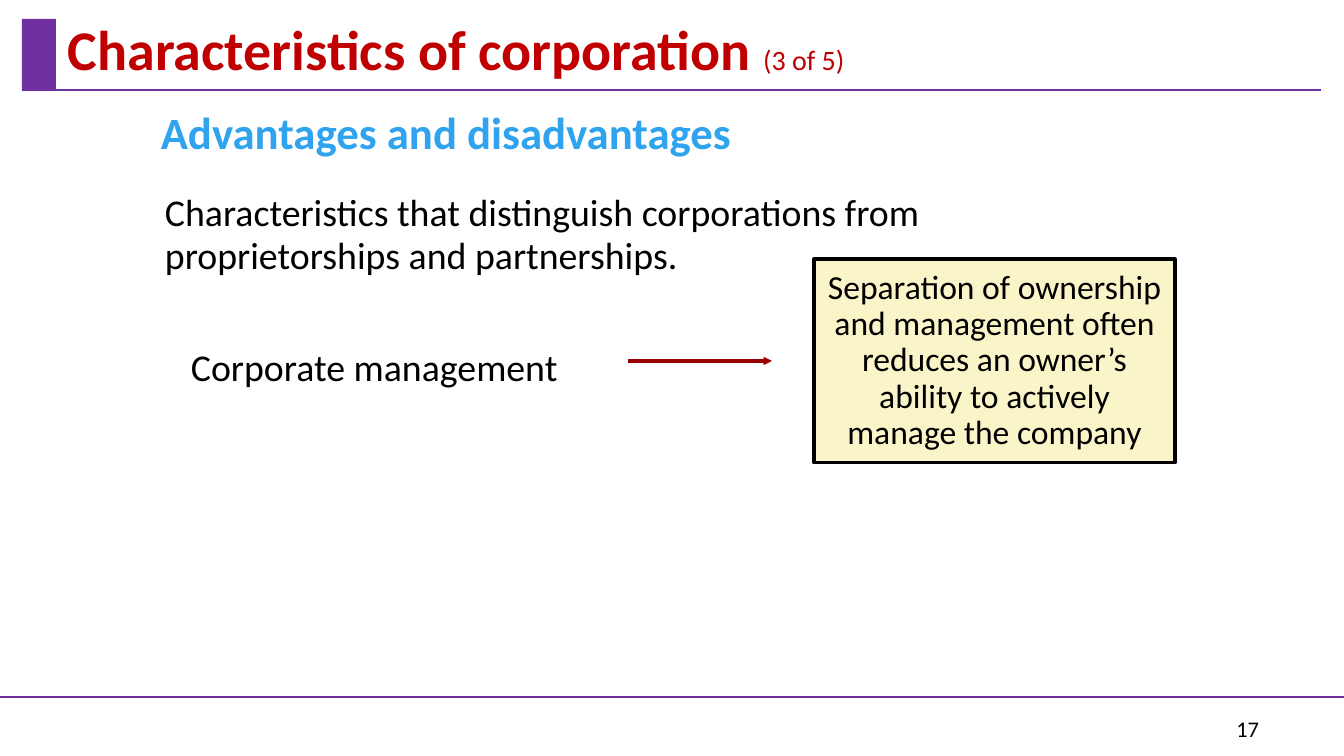
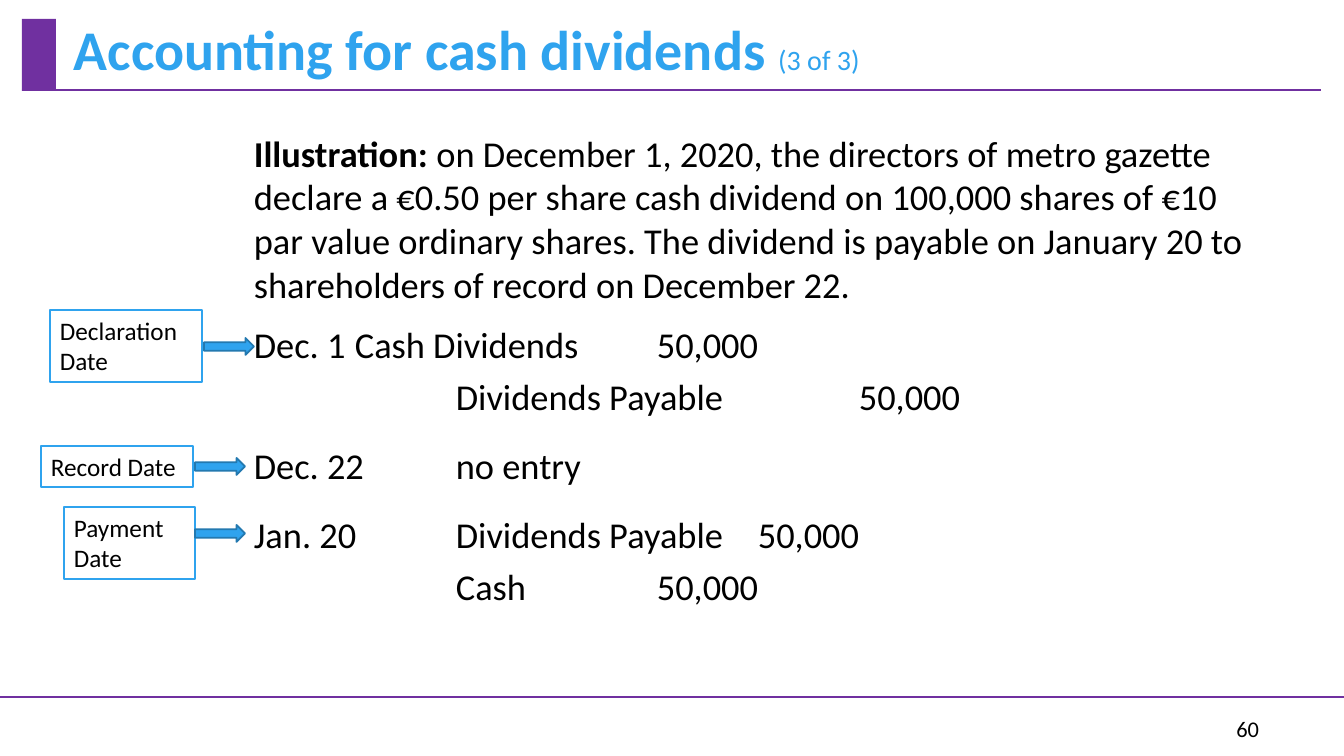
from lxml.etree import SubElement
from pptx import Presentation
from pptx.dml.color import RGBColor
from pptx.enum.shapes import MSO_CONNECTOR, MSO_SHAPE
from pptx.enum.text import MSO_ANCHOR, PP_ALIGN
from pptx.oxml.ns import qn
from pptx.util import Emu, Pt

EMU_PER_PX = 914400 / 100.8
WIDTH, HEIGHT = 1344, 756
FONT = "Calibri"
COLORS = {
    "band": "7030A0",
    "red": "C00000",
    "blue": "2FA3EE",
    "blue_edge": "2379B0",
    "arrow": "990000",
    "callout": "FAF5C9",
    "black": "000000",
    "white": "FFFFFF",
}


def px(value):
    return Emu(round(value * EMU_PER_PX))


def rgb(name):
    return RGBColor.from_string(COLORS[name])


def add_run(paragraph, text, size, color="black", bold=False):
    run = paragraph.add_run()
    run.text = text
    run.font.name = FONT
    run.font.size = Pt(size)
    run.font.bold = bold
    run.font.color.rgb = rgb(color)


def set_paragraph(paragraph, align=PP_ALIGN.LEFT, spacing=1.0, before=0):
    paragraph.alignment = align
    paragraph.line_spacing = spacing
    paragraph.space_before = Pt(before)


def set_tabs(paragraph, stops):
    tab_list = SubElement(paragraph._p.get_or_add_pPr(), qn("a:tabLst"))
    for stop in stops:
        SubElement(tab_list, qn("a:tab"), pos=str(px(stop)), algn="l")


def add_text_box(slide, left, top, width, height, anchor=MSO_ANCHOR.TOP):
    shape = slide.shapes.add_textbox(px(left), px(top), px(width), px(height))
    frame = shape.text_frame
    frame.word_wrap = True
    frame.vertical_anchor = anchor
    return frame


def add_box(slide, kind, bounds, fill, line=None, weight=1.25):
    shape = slide.shapes.add_shape(kind, *map(px, bounds))
    shape.shadow.inherit = False
    shape.fill.solid()
    shape.fill.fore_color.rgb = rgb(fill)
    if line:
        shape.line.color.rgb = rgb(line)
        shape.line.width = Pt(weight)
    else:
        shape.line.fill.background()
    return shape


def add_line(slide, left, right, y, color, weight, arrow=False):
    line = slide.shapes.add_connector(
        MSO_CONNECTOR.STRAIGHT, px(left), px(y), px(right), px(y))
    line.line.color.rgb = rgb(color)
    line.line.width = Pt(weight)
    properties = line._element.spPr
    if arrow:
        SubElement(properties.find(qn("a:ln")), qn("a:tailEnd"),
                   type="triangle", w="sm", len="sm")
    SubElement(properties, qn("a:effectLst"))


def add_slide(presentation, title, part, number, color, title_left):
    slide = presentation.slides.add_slide(presentation.slide_layouts[6])
    add_line(slide, 0, WIDTH, 697, "band", 1)
    add_line(slide, 22, 1321, 90, "band", 1.25)
    add_box(slide, MSO_SHAPE.RECTANGLE, (22, 19, 34, 72), "band")
    frame = add_text_box(slide, title_left, 16, 1004, 72, MSO_ANCHOR.MIDDLE)
    paragraph = frame.paragraphs[0]
    set_paragraph(paragraph, spacing=0.9)
    add_run(paragraph, title + " ", 40, color, bold=True)
    add_run(paragraph, part, 20, color)
    paragraph = add_text_box(slide, 1184, 709, 85, 40, MSO_ANCHOR.MIDDLE).paragraphs[0]
    set_paragraph(paragraph, PP_ALIGN.RIGHT)
    add_run(paragraph, str(number), 16)
    return slide


def add_callout(slide, bounds, text):
    shape = add_box(slide, MSO_SHAPE.RECTANGLE, bounds, "callout", "black", 2.25)
    frame = shape.text_frame
    frame.word_wrap = True
    frame.margin_top = frame.margin_bottom = px(10)
    frame.vertical_anchor = MSO_ANCHOR.MIDDLE
    set_paragraph(frame.paragraphs[0], PP_ALIGN.CENTER, 0.9)
    add_run(frame.paragraphs[0], text, 24)


def add_date_label(slide, text, bounds, arrow_left, arrow_top):
    label = add_box(slide, MSO_SHAPE.RECTANGLE, bounds, "white", "blue")
    frame = label.text_frame
    frame.word_wrap = True
    frame.vertical_anchor = MSO_ANCHOR.TOP
    set_paragraph(frame.paragraphs[0])
    add_run(frame.paragraphs[0], text, 18)
    add_box(slide, MSO_SHAPE.RIGHT_ARROW, (arrow_left, arrow_top, 50, 17),
            "blue", "blue_edge")


def add_entry(frame, text, stops, before):
    paragraph = frame.add_paragraph()
    set_paragraph(paragraph, before=before)
    set_tabs(paragraph, stops)
    add_run(paragraph, text, 26)


def build_characteristics(presentation):
    slide = add_slide(presentation, "Characteristics of corporation",
                      "(3 of 5)", 17, "red", 58)
    frame = add_text_box(slide, 155, 187, 830, 240)
    paragraph = frame.paragraphs[0]
    set_paragraph(paragraph, spacing=0.95)
    add_run(paragraph, "Characteristics that distinguish corporations from "
            "proprietorships and partnerships.", 27)
    paragraph = frame.add_paragraph()
    set_paragraph(paragraph, spacing=0.95, before=49)
    properties = paragraph._p.get_or_add_pPr()
    properties.set("marL", str(px(64)))
    properties.set("indent", str(px(-38)))
    add_run(paragraph, "Corporate management", 27)
    add_callout(slide, (814, 259, 361, 204),
                "Separation of ownership and management often reduces "
                "an owner’s ability to actively manage the company")
    add_line(slide, 628, 772, 361, "arrow", 3, arrow=True)
    paragraph = add_text_box(slide, 151, 100, 703, 65).paragraphs[0]
    set_paragraph(paragraph)
    add_run(paragraph, "Advantages and disadvantages", 32, "blue", bold=True)


def build_dividends(presentation):
    slide = add_slide(presentation, "Accounting for cash dividends",
                      "(3 of 3)", 60, "blue", 64)
    frame = add_text_box(slide, 244, 126, 1016, 537)
    paragraph = frame.paragraphs[0]
    set_paragraph(paragraph)
    add_run(paragraph, "Illustration: ", 26, bold=True)
    add_run(paragraph, "on December 1, 2020, the directors of metro gazette "
            "declare a €0.50 per share cash dividend on 100,000 shares of €10 "
            "par value ordinary shares. The dividend is payable on January 20 "
            "to shareholders of record on December 22.", 26)
    entries = [
        ("Dec. 1\tCash Dividends\t50,000", (101, 403), 12),
        ("\tDividends Payable\t50,000", (202, 605), 6),
        ("Dec. 22\tno entry", (202,), 18),
        ("Jan. 20\tDividends Payable\t50,000", (202, 504), 18),
        ("\tCash\t50,000", (202, 403), 6),
    ]
    for text, stops, before in entries:
        add_entry(frame, text, stops, before)
    labels = [
        ("Declaration Date", (50, 310, 152, 72), 204, 338),
        ("Record Date", (41, 446, 152, 41), 195, 458),
        ("Payment Date", (64, 507, 131, 72), 195, 525),
    ]
    for label in labels:
        add_date_label(slide, *label)


def main():
    presentation = Presentation()
    presentation.slide_width = px(WIDTH)
    presentation.slide_height = px(HEIGHT)
    build_characteristics(presentation)
    build_dividends(presentation)
    presentation.save("out.pptx")


if __name__ == "__main__":
    main()
